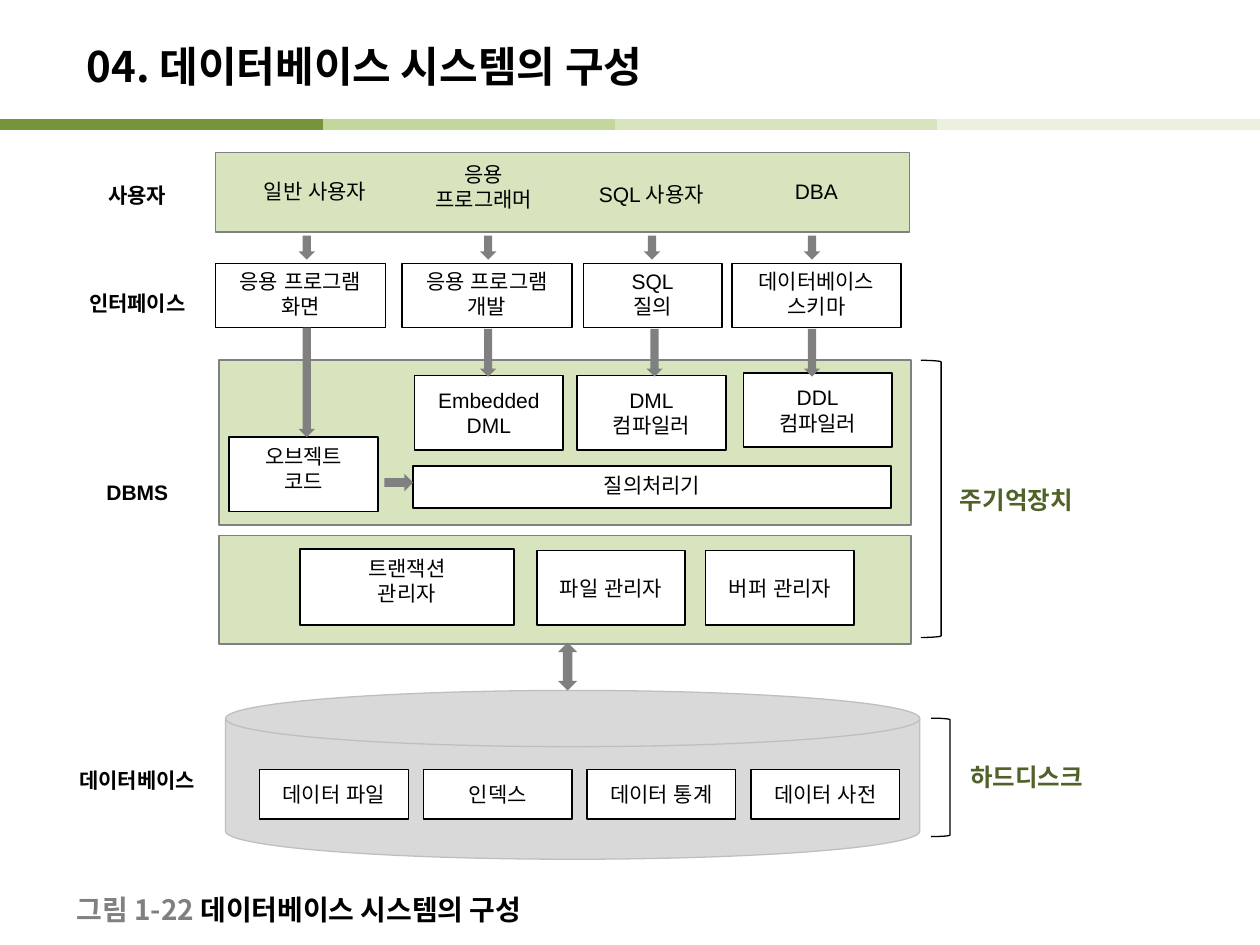
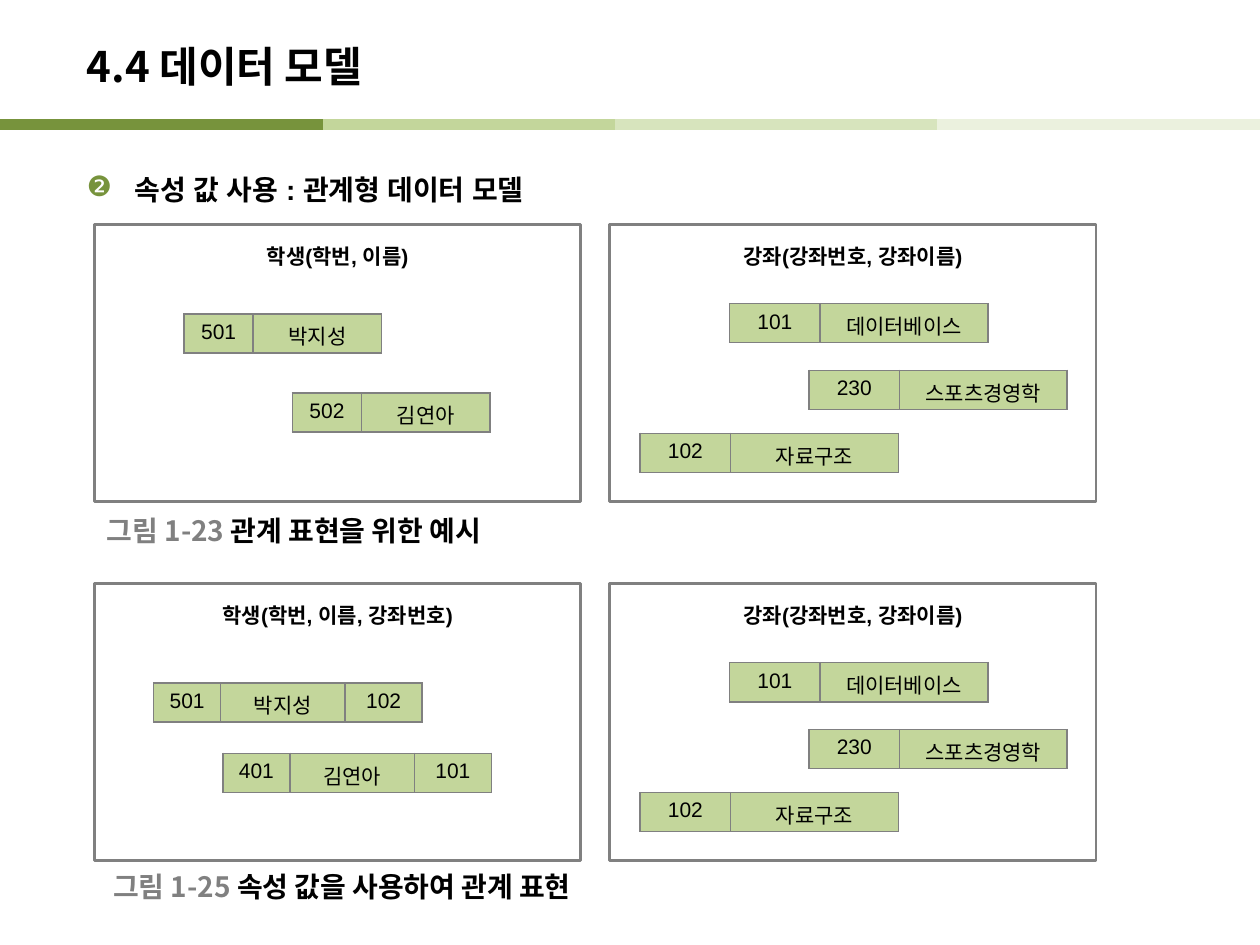
from lxml import etree
from pptx import Presentation
from pptx.dml.color import RGBColor
from pptx.enum.shapes import MSO_CONNECTOR, MSO_SHAPE
from pptx.enum.text import MSO_ANCHOR, PP_ALIGN
from pptx.oxml.ns import qn
from pptx.util import Inches, Pt

RECT = MSO_SHAPE.RECTANGLE
DISK = MSO_SHAPE.FLOWCHART_MAGNETIC_DISK
BRACKET = MSO_SHAPE.RIGHT_BRACKET
DOWN, RIGHT, UP_DOWN = MSO_SHAPE.DOWN_ARROW, MSO_SHAPE.RIGHT_ARROW, MSO_SHAPE.UP_DOWN_ARROW
STRAIGHT = MSO_CONNECTOR.STRAIGHT
TOP, MIDDLE = MSO_ANCHOR.TOP, MSO_ANCHOR.MIDDLE
LEFT, CENTER = PP_ALIGN.LEFT, PP_ALIGN.CENTER

COLORS = {
    "black": "000000", "white": "FFFFFF", "gray": "808080",
    "disk": "D9D9D9", "disk_line": "BFBFBF",
    "deep": "77933C", "cell": "C3D69B", "layer": "D7E4BD", "pale": "EBF1DE",
    "memory": "4F6228",
}
SANS, KOREAN = "Arial", "Noto Sans CJK KR"
BANDS = [(2.32, 4.88, "cell"), (4.88, 7.44, "layer"), (7.44, 10, "pale"), (0, 2.56, "deep")]
TITLE = {"size": Pt(24), "bold": True, "name": KOREAN}
CAPTION = {"size": Pt(16), "bold": True, "name": KOREAN}
STORAGE = {"size": Pt(14), "bold": True, "name": KOREAN}
BODY = {"size": Pt(16), "bold": True, "name": SANS}
LABEL = {"size": Pt(12), "bold": True, "name": SANS}
PLAIN = {"size": Pt(12), "bold": False, "name": SANS}
NO_INSET, TIGHT, NORMAL = (0, 0), (0.04, 0.04), (0.1, 0.05)


def rgb(color):
    return RGBColor.from_string(COLORS[color])


class Deck:
    def __init__(self):
        self.prs = Presentation()
        self.prs.slide_width, self.prs.slide_height = Inches(10), Inches(7.5)
        self.s = None

    def slide(self, title):
        self.s = self.prs.slides.add_slide(self.prs.slide_layouts[6])
        for x1, x2, color in BANDS:
            self.line(x1, x2, 0.99, color, 6)
        self.text(0.59, 0.22, 8.27, 0.6, [title], TITLE, inset=NORMAL, anchor=MIDDLE)

    def line(self, x1, x2, y, color, width):
        c = self.s.shapes.add_connector(STRAIGHT, Inches(x1), Inches(y), Inches(x2), Inches(y))
        c.line.color.rgb = rgb(color)
        c.line.width = Pt(width)
        etree.SubElement(c._element.spPr, qn("a:effectLst"))

    def run(self, p, text, style, color="black", east=None):
        """Add a run; east is the font of its Korean letters."""
        r = p.add_run()
        r.text = text
        for key, value in style.items():
            setattr(r.font, key, value)
        r.font.color.rgb = rgb(color)
        ea = etree.SubElement(r._r.get_or_add_rPr(), qn("a:ea"))
        ea.set("typeface", east or style["name"])

    def fill_frame(self, tf, lines, style, color, align, inset, anchor):
        side, edge = map(Inches, inset)
        frame = {"word_wrap": True, "vertical_anchor": anchor, "margin_left": side,
                 "margin_right": side, "margin_top": edge, "margin_bottom": edge}
        for key, value in frame.items():
            setattr(tf, key, value)
        for i, line in enumerate(lines):
            p = tf.add_paragraph() if i else tf.paragraphs[0]
            p.alignment = align
            self.run(p, line, style, color)

    def text(self, x, y, w, h, lines, style, color="black", align=LEFT, inset=NO_INSET,
             anchor=TOP):
        tf = self.s.shapes.add_textbox(Inches(x), Inches(y), Inches(w), Inches(h)).text_frame
        self.fill_frame(tf, lines, style, color, align, inset, anchor)
        return tf

    def centered(self, cx, y, lines, style):
        self.text(cx - 0.6, y, 1.2, 0.2 * len(lines), lines, style, align=CENTER)

    def shape(self, kind, x, y, w, h, fill=None, line=None, width=0.75):
        sp = self.s.shapes.add_shape(kind, Inches(x), Inches(y), Inches(w), Inches(h))
        sp.shadow.inherit = False
        for part, color in ((sp.fill, fill), (sp.line.fill, line)):
            if color:
                part.solid()
                part.fore_color.rgb = rgb(color)
            else:
                part.background()
        if line:
            sp.line.width = Pt(width)
        return sp

    def box(self, x, y, w, h, lines, width=1, inset=TIGHT, anchor=MIDDLE, line="black",
            style=PLAIN):
        sp = self.shape(RECT, x, y, w, h, "white", line, width)
        self.fill_frame(sp.text_frame, lines, style, "black", CENTER, inset, anchor)

    def arrow(self, kind, x, y, w, h):
        self.shape(kind, x, y, w, h, "gray")

    def storage(self, x, y, w, h, text_x, text_y, name):
        """Bracket with the name of the storage that holds the bracketed part."""
        self.shape(BRACKET, x, y, w, h, line="black")
        self.text(text_x, text_y, 1.38, 0.34, [name], STORAGE, "memory", inset=NORMAL)

    def caption(self, x, y, number, text):
        tf = self.text(x, y, 5, 0.31, [f"그림 {number} "], CAPTION, "gray",
                       inset=NORMAL, anchor=MIDDLE)
        self.run(tf.paragraphs[0], text, CAPTION)

    def bullet(self, x, y, w, h, mark, text):
        p = self.text(x, y, w, h, [text], BODY, inset=NORMAL).paragraphs[0]
        p.line_spacing = 1.5
        pPr = p._p.get_or_add_pPr()
        pPr.set("marL", str(Inches(0.38)))
        pPr.set("indent", str(-Inches(0.38)))
        color = etree.SubElement(pPr, qn("a:buClr"))
        etree.SubElement(color, qn("a:srgbClr")).set("val", COLORS["deep"])
        etree.SubElement(pPr, qn("a:buChar")).set("char", mark)

    def record(self, x, y, widths, values):
        """One-row table that shows a single record."""
        table = self.s.shapes.add_table(1, len(values), Inches(x), Inches(y),
                                        Inches(sum(widths)), Inches(0.31)).table
        table.first_row = table.horz_banding = False
        table.rows[0].height = Inches(0.31)
        for i, (width, value) in enumerate(zip(widths, values)):
            table.columns[i].width = Inches(width)
            cell = table.cell(0, i)
            self.borders(cell)
            cell.fill.solid()
            cell.fill.fore_color.rgb = rgb("cell")
            p = cell.text_frame.paragraphs[0]
            p.alignment = CENTER
            self.run(p, value, PLAIN, east=KOREAN)

    def borders(self, cell):
        tcPr = cell._tc.get_or_add_tcPr()
        for side in "LRTB":
            ln = etree.SubElement(tcPr, qn(f"a:ln{side}"), w=str(Pt(1)))
            fill = etree.SubElement(ln, qn("a:solidFill"))
            etree.SubElement(fill, qn("a:srgbClr")).set("val", COLORS["gray"])


def system_slide(d):
    d.slide("04. 데이터베이스 시스템의 구성")
    d.caption(0.51, 7.06, "1-22", "데이터베이스 시스템의 구성")
    for y, name in ((1.45, "사용자"), (2.31, "인터페이스"), (3.81, "DBMS"), (6.09, "데이터베이스")):
        d.centered(1.09, y, [name], LABEL)

    d.shape(DISK, 1.79, 5.48, 5.51, 1.34, "disk", "disk_line")
    for i, name in enumerate(("데이터 파일", "인덱스", "데이터 통계", "데이터 사전")):
        d.box(2.06 + 1.3 * i, 6.11, 1.18, 0.39, [name], 0.75)

    for x, y, w, h in ((1.71, 1.21, 5.51, 0.63), (1.74, 2.86, 5.49, 1.31),
                       (1.74, 4.25, 5.49, 0.86)):
        d.shape(RECT, x, y, w, h, "layer", "gray", 1)

    users = [(2.5, 1.42, ["일반 사용자"]), (3.84, 1.28, ["응용", "프로그래머"]),
             (5.17, 1.44, ["SQL 사용자"]), (6.48, 1.42, ["DBA"])]
    for cx, y, lines in users:
        d.centered(cx, y, lines, PLAIN)

    interfaces = [(1.71, 1.35, ["응용 프로그램 화면"]), (3.19, 1.35, ["응용 프로그램", "개발"]),
                  (4.63, 1.1, ["SQL", "질의"]), (5.81, 1.34, ["데이터베이스", "스키마"])]
    for x, w, lines in interfaces:
        d.box(x, 2.09, w, 0.51, lines, 0.88, anchor=TOP)

    d.box(1.82, 3.47, 1.18, 0.59, ["오브젝트", "코드"], inset=NORMAL, anchor=TOP)
    d.box(3.28, 3.7, 3.79, 0.33, ["질의처리기"], inset=NORMAL, anchor=TOP)
    for x, y, lines in ((3.29, 2.98, ["Embedded", "DML"]), (4.58, 2.98, ["DML", "컴파일러"]),
                        (5.9, 2.96, ["DDL", "컴파일러"])):
        d.box(x, y, 1.18, 0.59, lines)
    d.box(2.38, 4.36, 1.7, 0.6, ["트랜잭션", "관리자"], inset=(0.04, 0.05), anchor=TOP)
    for x, name in ((4.26, "파일 관리자"), (5.6, "버퍼 관리자")):
        d.box(x, 4.37, 1.18, 0.59, [name])

    for x in (2.37, 3.81, 5.11, 6.38):
        d.arrow(DOWN, x, 1.87, 0.13, 0.19)
    for x, y, h in ((2.37, 2.6, 0.87), (3.81, 2.61, 0.38), (5.13, 2.61, 0.38),
                    (6.38, 2.61, 0.38)):
        d.arrow(DOWN, x, y, 0.13, h)
    d.arrow(RIGHT, 3.05, 3.76, 0.23, 0.14)
    d.arrow(UP_DOWN, 4.43, 5.1, 0.15, 0.38)

    d.storage(7.31, 2.86, 0.16, 2.2, 7.52, 3.8, "주기억장치")
    d.storage(7.39, 5.7, 0.15, 0.94, 7.6, 6, "하드디스크")


def model_slide(d):
    d.slide("4.4 데이터 모델")
    d.bullet(0.59, 1.19, 8.82, 0.5, "❷", "속성 값 사용 : 관계형 데이터 모델")
    d.caption(0.75, 4.05, "1-23", "관계 표현을 위한 예시")
    d.caption(0.8, 6.88, "1-25", "속성 값을 사용하여 관계 표현")

    courses = [(5.79, 0.63, ("101", "데이터베이스")), (6.42, 1.16, ("230", "스포츠경영학")),
               (5.08, 1.66, ("102", "자료구조"))]
    figures = [
        (1.78, "학생(학번, 이름)", (0.55, 1.02),
         [(1.46, 0.71, ("501", "박지성")), (2.32, 1.34, ("502", "김연아"))]),
        (4.63, "학생(학번, 이름, 강좌번호)", (0.53, 0.99, 0.61),
         [(1.22, 0.79, ("501", "박지성", "102")), (1.77, 1.35, ("401", "김연아", "101"))]),
    ]
    for top, schema, student_widths, students in figures:
        panels = [(0.75, schema, student_widths, students),
                  (4.84, "강좌(강좌번호, 강좌이름)", (0.72, 1.33), courses)]
        for x, heading, widths, records in panels:
            d.box(x, top, 3.86, 2.2, [heading], 1.5, (0.1, 0.15), TOP, "gray", LABEL)
            for left, dy, values in records:
                d.record(left, top + dy, widths, values)


def main():
    d = Deck()
    system_slide(d)
    model_slide(d)
    d.prs.save("out.pptx")


if __name__ == "__main__":
    main()
